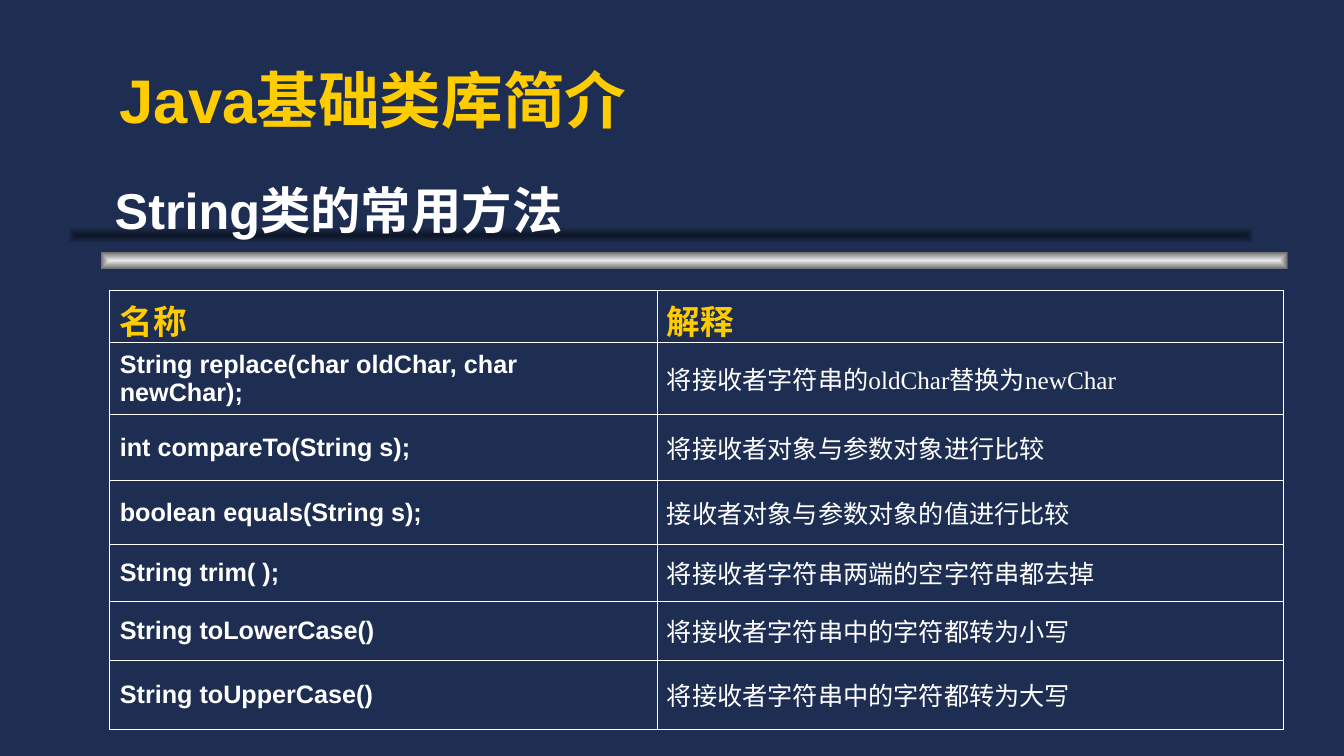
from dataclasses import dataclass
from pptx import Presentation
from pptx.dml.color import RGBColor as RGB
from pptx.enum.shapes import MSO_SHAPE as Shape
from pptx.enum.text import MSO_ANCHOR as Anchor
from pptx.oxml import parse_xml
from pptx.oxml.ns import nsdecls, qn
from pptx.util import Inches, Pt


@dataclass(frozen=True)
class Theme:
    back: str = "1E2E53"
    gold: str = "FFCC00"
    white: str = "FFFFFF"
    bar: tuple = ("EAEAEA", "6C6C6C")
    shade: tuple = ("0E1526", "1E2E53")
    sans: str = "Arial"
    serif: str = "Times New Roman"
    han: str = "Noto Sans CJK SC"
    title: int = 44
    topic: int = 36
    head: int = 24
    body: int = 18
    thin: float = 0.45
    thick: float = 1.08


T = Theme()

HEAD = ("名称", "解释")
METHODS = [
    ("String replace(char oldChar, char newChar);", "将接收者字符串的oldChar替换为newChar"),
    ("int compareTo(String s);", "将接收者对象与参数对象进行比较"),
    ("boolean equals(String s);", "接收者对象与参数对象的值进行比较"),
    ("String trim( );", "将接收者字符串两端的空字符串都去掉"),
    ("String toLowerCase()", "将接收者字符串中的字符都转为小写"),
    ("String toUpperCase()", "将接收者字符串中的字符都转为大写"),
]
WIDTHS = (5.43, 6.22)
HEIGHTS = (0.52, 0.71, 0.66, 0.63, 0.57, 0.58, 0.69)


def write(frame, text, size=T.body, color=T.white, bold=True, face=T.sans, line=None):
    para = frame.paragraphs[0]
    if line:
        para.line_spacing = line
    run = para.add_run()
    run.text = text
    font = run.font
    font.size = Pt(size)
    font.bold = bold
    font.color.rgb = RGB.from_string(color)
    font.name = face
    han = parse_xml(f'<a:ea {nsdecls("a")} typeface="{T.han}"/>')
    run._r.rPr.find(qn("a:latin")).addnext(han)


def heading(slide, box, text, **style):
    frame = slide.shapes.add_textbox(*map(Inches, box)).text_frame
    frame.word_wrap = True
    frame.vertical_anchor = Anchor.BOTTOM
    write(frame, text, line=0.7, **style)


def bar(slide, box, colors):
    shape = slide.shapes.add_shape(Shape.RECTANGLE, *map(Inches, box))
    shape.shadow.inherit = False
    shape.line.fill.background()
    shape.fill.gradient()
    for stop, color in zip(shape.fill.gradient_stops, colors):
        stop.color.rgb = RGB.from_string(color)
    grad = shape._element.spPr.find(qn("a:gradFill"))
    grad.remove(grad.find(qn("a:lin")))
    grad.append(parse_xml(
        f'<a:path {nsdecls("a")} path="rect">'
        '<a:fillToRect l="50000" t="50000" r="50000" b="50000"/></a:path>'))


def rule(slide, box):
    left, top, width, height = box
    bar(slide, box, T.bar)
    bar(slide, (left - 0.33, top - 0.25, width, height), T.shade)


def border(cell, outer):
    props = cell._tc.get_or_add_tcPr()
    for side in "LRTB":
        width = Pt(T.thick if side in outer else T.thin)
        props.append(parse_xml(
            f'<a:ln{side} {nsdecls("a")} w="{width}"><a:solidFill>'
            f'<a:srgbClr val="{T.white}"/></a:solidFill></a:ln{side}>'))


def grid(slide, box):
    rows = [HEAD] + METHODS
    last = len(rows) - 1
    table = slide.shapes.add_table(len(rows), len(HEAD), *map(Inches, box)).table
    table.first_row = table.horz_banding = False
    for col, width in zip(table.columns, WIDTHS):
        col.width = Inches(width)
    for row, height in zip(table.rows, HEIGHTS):
        row.height = Inches(height)
    for r, texts in enumerate(rows):
        for c, text in enumerate(texts):
            cell = table.cell(r, c)
            cell.vertical_anchor = Anchor.MIDDLE
            border(cell, "LR"[c] + {0: "T", last: "B"}.get(r, ""))
            cell.fill.background()
            if r == 0:
                style = dict(size=T.head, color=T.gold)
            elif c == 1:
                style = dict(bold=False, face=T.serif)
            else:
                style = {}
            write(cell.text_frame, text, **style)


def main():
    deck = Presentation()
    deck.slide_width, deck.slide_height = Inches(13.34), Inches(7.5)
    slide = deck.slides.add_slide(deck.slide_layouts[6])
    fill = slide.background.fill
    fill.solid()
    fill.fore_color.rgb = RGB.from_string(T.back)
    rule(slide, (1, 2.5, 11.78, 0.17))
    heading(slide, (1.09, 0.13, 7.99, 1.25), "Java基础类库简介", size=T.title, color=T.gold)
    grid(slide, (1.09, 2.88, sum(WIDTHS), sum(HEIGHTS)))
    heading(slide, (1.04, 1.62, 7.99, 0.79), "String类的常用方法", size=T.topic)
    deck.save("out.pptx")


if __name__ == "__main__":
    main()
